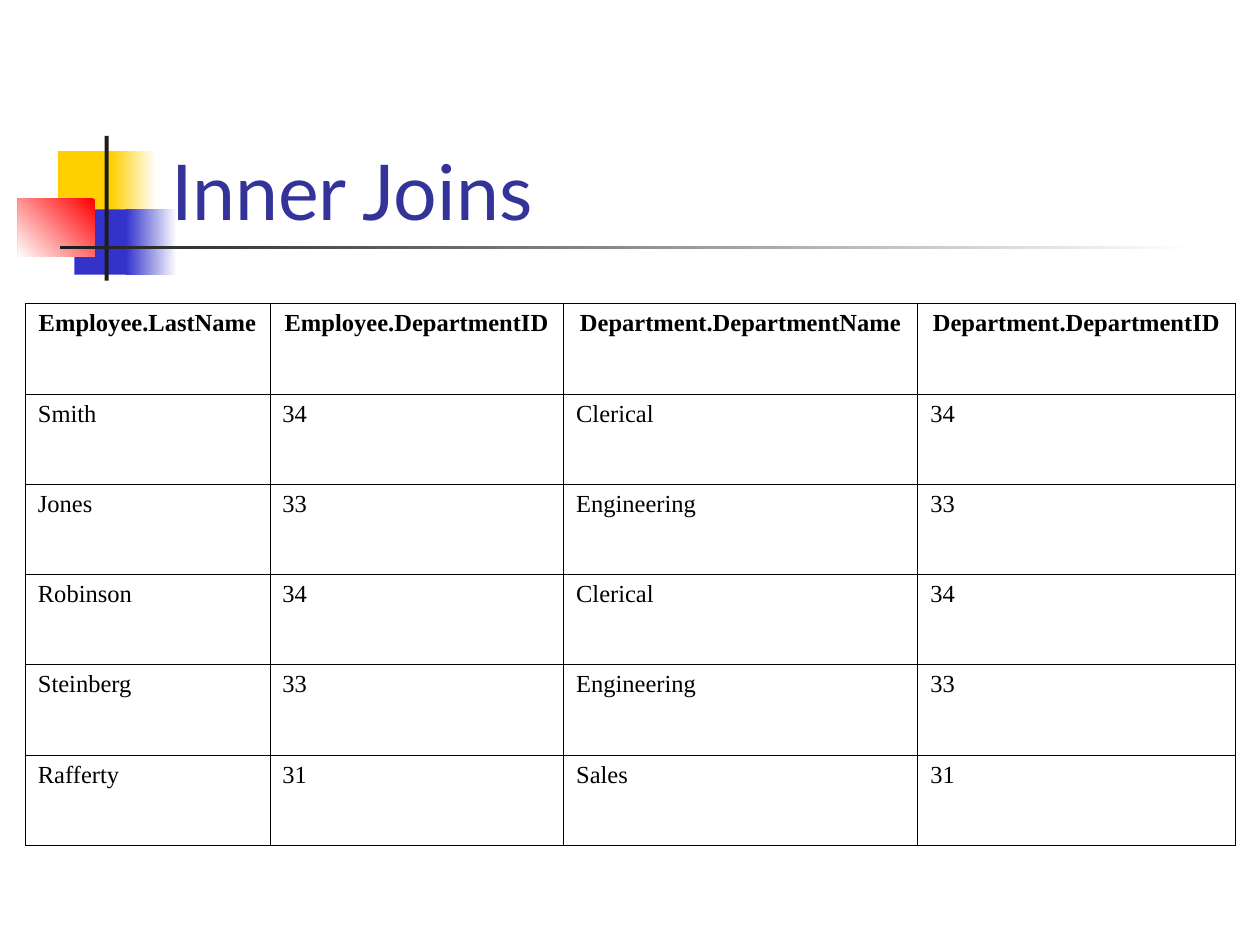
from dataclasses import dataclass
from typing import Any, NamedTuple, Optional

from lxml import etree
from pptx import Presentation
from pptx.dml.color import RGBColor
from pptx.enum.shapes import MSO_SHAPE
from pptx.enum.text import MSO_ANCHOR, PP_ALIGN
from pptx.oxml.ns import qn
from pptx.util import Cm, Pt

RECTANGLE = MSO_SHAPE.RECTANGLE
BOTTOM = MSO_ANCHOR.BOTTOM
CENTER, LEFT = PP_ALIGN.CENTER, PP_ALIGN.LEFT
TITLE_ONLY = 5


@dataclass(frozen=True)
class Theme:
    white: str = "FFFFFF"
    yellow: str = "FFCF01"
    blue: str = "3333CC"
    red: str = "FF0000"
    ink: str = "1C1C1C"
    title: str = "333399"
    text: str = "000000"
    title_font: str = "Lato"
    table_font: str = "Times New Roman"
    title_size: float = 44
    table_size: float = 14
    border_width: float = 0.45


class Block(NamedTuple):
    left: float
    top: float
    width: float
    height: float
    color: str
    fade_to: Optional[str] = None
    angle: int = 180


THEME = Theme()
ORNAMENT = [
    Block(1.17, 3.05, 1.22, 1.32, THEME.yellow),
    Block(2.24, 3.05, 0.91, 1.32, THEME.white, THEME.yellow),
    Block(1.5, 4.22, 1.17, 1.32, THEME.blue),
    Block(2.54, 4.22, 1.02, 1.32, THEME.white, THEME.blue),
    Block(0.36, 4.01, 1.55, 1.17, THEME.red, THEME.white, 225),
    Block(2.11, 2.74, 0.08, 2.92, THEME.ink),
    Block(1.22, 4.95, 22.86, 0.08, THEME.white, THEME.ink),
]
COLUMN_WIDTHS = [4.93, 5.92, 7.14, 6.4]
ROW_HEIGHT = 1.82
HANGING = Cm(0.95)
JOIN_ROWS = [
    ("Employee.LastName", "Employee.DepartmentID",
     "Department.DepartmentName", "Department.DepartmentID"),
    ("Smith", "34", "Clerical", "34"),
    ("Jones", "33", "Engineering", "33"),
    ("Robinson", "34", "Clerical", "34"),
    ("Steinberg", "33", "Engineering", "33"),
    ("Rafferty", "31", "Sales", "31"),
]


def apply_format(target: Any, values: dict) -> None:
    for attribute, value in values.items():
        setattr(target, attribute, value)


def format_font(font: Any, name: str, size: float, color: str, bold: bool) -> None:
    apply_format(font, {"name": name, "size": Pt(size), "bold": bold})
    font.color.rgb = RGBColor.from_string(color)


def draw_block(slide: Any, block: Block) -> None:
    shape = slide.shapes.add_shape(RECTANGLE, *(Cm(length) for length in block[:4]))
    shape.shadow.inherit = False
    shape.line.fill.background()
    if block.fade_to is None:
        shape.fill.solid()
        shape.fill.fore_color.rgb = RGBColor.from_string(block.color)
        return
    shape.fill.gradient()
    shape.fill.gradient_angle = block.angle
    for stop, color in zip(shape.fill.gradient_stops, (block.color, block.fade_to)):
        stop.color.rgb = RGBColor.from_string(color)


def draw_title(slide: Any, wording: str) -> None:
    title = slide.shapes.title
    apply_format(title, {"left": Cm(3.2), "top": Cm(1.7),
                         "width": Cm(21.64), "height": Cm(3.18)})
    title.text_frame.text = wording
    title.text_frame.vertical_anchor = BOTTOM
    heading = title.text_frame.paragraphs[0]
    heading.alignment = LEFT
    format_font(heading.runs[0].font, THEME.title_font, THEME.title_size, THEME.title, False)
    slide.shapes.element.append(title.element)


def add_borders(cell_properties: Any) -> None:
    for side in ("a:lnL", "a:lnR", "a:lnT", "a:lnB"):
        border = etree.SubElement(cell_properties, qn(side), w=str(Pt(THEME.border_width)))
        fill = etree.SubElement(border, qn("a:solidFill"))
        etree.SubElement(fill, qn("a:srgbClr"), val=THEME.text)


def fill_cell(cell: Any, wording: str, is_header: bool) -> None:
    cell.text = wording
    add_borders(cell._tc.get_or_add_tcPr())
    cell.fill.background()
    entry = cell.text_frame.paragraphs[0]
    entry.alignment = CENTER if is_header else LEFT
    indents = entry._p.get_or_add_pPr()
    indents.set("marL", str(HANGING))
    indents.set("indent", str(-HANGING))
    format_font(entry.runs[0].font, THEME.table_font, THEME.table_size, THEME.text, is_header)


def draw_join_table(slide: Any) -> None:
    table = slide.shapes.add_table(
        len(JOIN_ROWS), len(COLUMN_WIDTHS), Cm(0.51), Cm(6.12),
        Cm(sum(COLUMN_WIDTHS)), Cm(ROW_HEIGHT * len(JOIN_ROWS))).table
    apply_format(table, {"first_row": False, "horz_banding": False})
    for column, width in zip(table.columns, COLUMN_WIDTHS):
        column.width = Cm(width)
    for index, (row, entries) in enumerate(zip(table.rows, JOIN_ROWS)):
        row.height = Cm(ROW_HEIGHT)
        for cell, wording in zip(row.cells, entries):
            fill_cell(cell, wording, index == 0)


def main() -> None:
    deck = Presentation()
    apply_format(deck, {"slide_width": Cm(25.4), "slide_height": Cm(19.05)})
    slide = deck.slides.add_slide(deck.slide_layouts[TITLE_ONLY])
    for block in ORNAMENT:
        draw_block(slide, block)
    draw_title(slide, "Inner Joins")
    draw_join_table(slide)
    deck.save("out.pptx")


if __name__ == "__main__":
    main()
